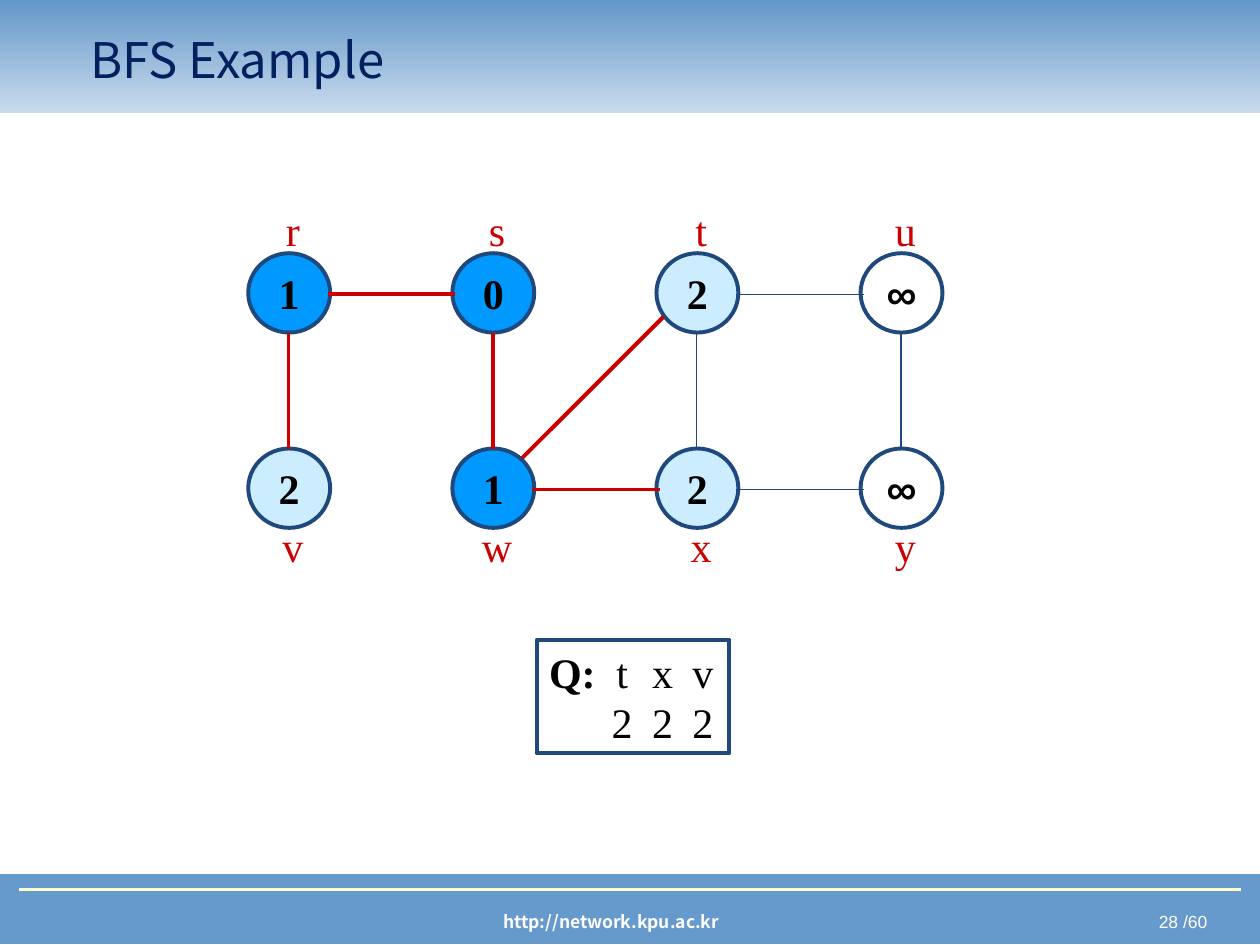
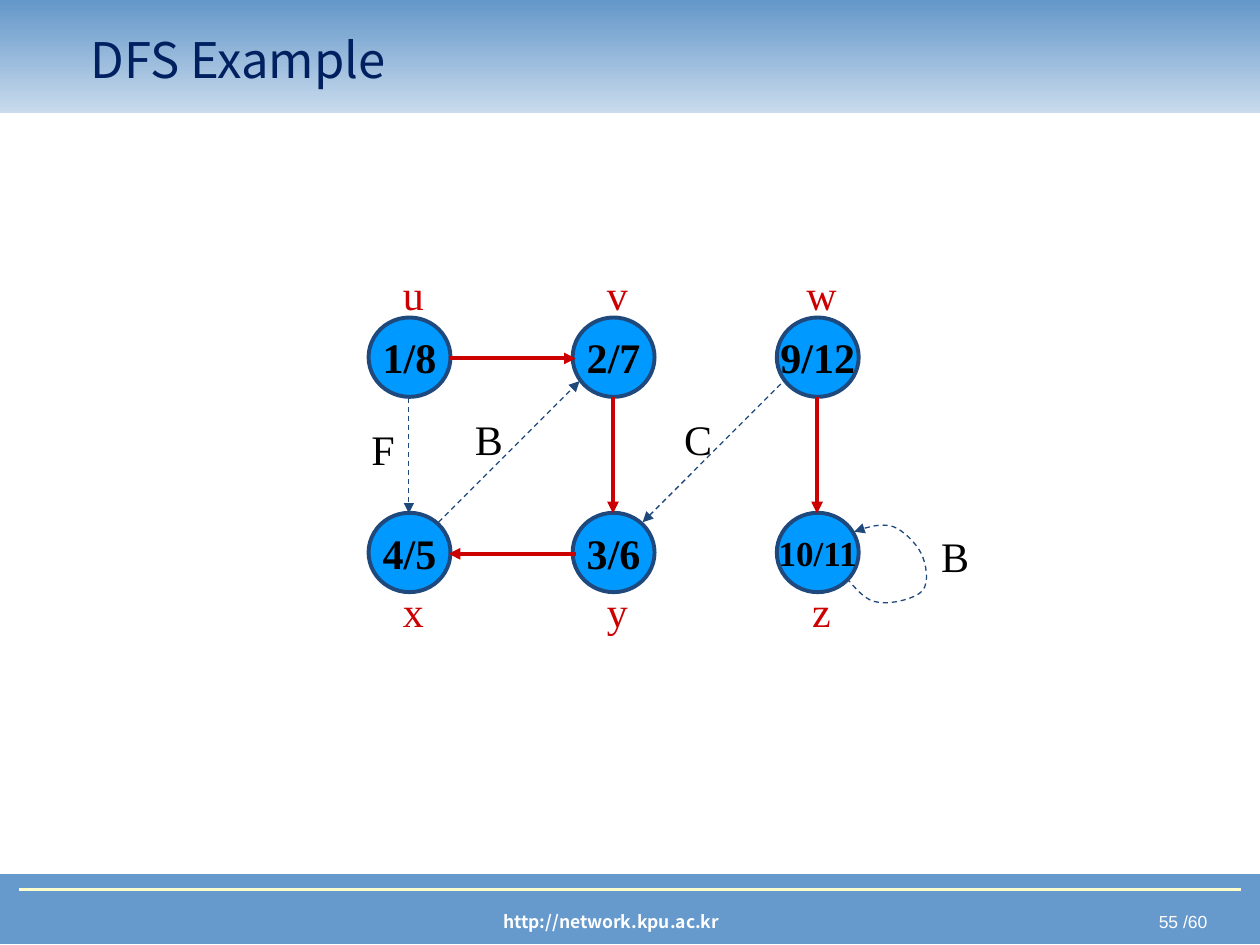
from dataclasses import dataclass

from lxml.etree import SubElement
from pptx import Presentation
from pptx.dml.color import RGBColor
from pptx.enum.dml import MSO_LINE
from pptx.enum.shapes import MSO_CONNECTOR as Connector, MSO_SHAPE as Shape
from pptx.enum.text import MSO_ANCHOR as Anchor, MSO_AUTO_SIZE as AutoSize, PP_ALIGN as Align
from pptx.oxml.ns import qn
from pptx.util import Inches, Pt


@dataclass(frozen=True)
class Theme:
    band: str = "6699CC"
    band_top: str = "6497C9"
    band_fade: str = "C9DBED"
    rule: str = "FFFFCC"
    heading: str = "002060"
    ink: str = "000000"
    paper: str = "FFFFFF"
    outline: str = "1F497D"
    accent: str = "CC0000"
    finished: str = "0099FF"
    queued: str = "CCECFF"
    heading_font: str = "Noto Sans CJK KR"
    number_font: str = "Arial"
    graph_font: str = "Times New Roman"
    heading_size: int = 28
    graph_size: int = 24
    tight_size: int = 20
    footer_size: int = 10
    thick: float = 2.25
    medium: float = 1.5
    thin: float = 0.75


THEME = Theme()

# The slide is a grid of 100 columns by 75 rows of equal cells.
COLUMNS, ROWS = 100, 75
CELL = Inches(0.1)

# Spacing of graph nodes, and their size, in cells.
NODE_STEP = (16.2, 15.5)
NODE_SIZE = (6.5, 6.3)
LABEL_SIZE = (4.4, 5)
LABEL_SHIFT = 0.3
LABEL_RISE = (-5, 4.6)  # above the upper row, below the lower row

# Direction of an edge: offset of its start from the node centre, and its span.
RIGHT = ((3.1, 0.1), (10.1, 0))
DOWN = ((-0.05, 3.2), (0, 9.2))
DIAGONAL = ((2.3, -2.4), (11.2, -11.2))


def cells(*values):
    return [round(value * CELL) for value in values]


def color(value):
    return RGBColor.from_string(value)


def bezier(start, first, second, end, steps=8):
    """Points along a cubic curve, without its start."""
    for step in range(1, steps + 1):
        t = step / steps
        yield tuple((1 - t) ** 3 * a + 3 * t * (1 - t) ** 2 * b + 3 * t * t * (1 - t) * c + t ** 3 * d
                    for a, b, c, d in zip(start, first, second, end))


class Deck:
    def __init__(self, theme, address, page_total):
        self.theme = theme
        self.address = address
        self.page_total = page_total
        self.prs = Presentation()
        self.prs.slide_width, self.prs.slide_height = cells(COLUMNS, ROWS)
        self.layout = self.prs.slide_layouts.get_by_name("Title Only")
        self.slide = None
        self.origin = (0, 0)

    def new_slide(self, heading, page, origin):
        """Start a slide whose graph has its first node centred at origin."""
        theme = self.theme
        self.slide = self.prs.slides.add_slide(self.layout)
        self.origin = origin
        if len(self.prs.slides) == 1:
            self.share_frame()
        title = self.slide.shapes.title
        title.left, title.top, title.width, title.height = cells(6.2, 1.6, 84.4, 6.2)
        frame = title.text_frame
        frame.auto_size = AutoSize.NONE
        frame.vertical_anchor = Anchor.MIDDLE
        frame.paragraphs[0].alignment = Align.LEFT
        self.run(frame.paragraphs[0], heading, theme.heading_font, theme.heading_size, theme.heading)
        self.text(f"{page} /{self.page_total}", (74.2, 71.8, 22.6, 2.7), theme.number_font,
                  theme.footer_size, theme.paper, align=Align.RIGHT)

    def share_frame(self):
        """Draw bands, rule and address, then move them to the layout."""
        theme = self.theme
        footer = self.shape(Shape.RECTANGLE, (0, 69.4, COLUMNS, 5.5), theme.band)
        self.stroke(footer.line, theme.band, theme.thin)
        header = self.shape(Shape.RECTANGLE, (0, 0, COLUMNS, 9))
        header.line.fill.background()
        header.fill.gradient()
        header.fill.gradient_angle = 90
        for stop, tint in zip(header.fill.gradient_stops, (theme.band_fade, theme.band_top)):
            stop.color.rgb = color(tint)
        rule = self.line((1.5, 70.6), (98.5, 70.6), theme.rule, theme.medium)
        address = self.text(self.address, (22.7, 71.8, 51.6, 2.7), theme.heading_font,
                            theme.footer_size, theme.paper, bold=True)
        for part in (footer, header, rule, address):
            self.layout.shapes.element.append(part.element)

    def run(self, paragraph, words, font, size, tint, bold=False):
        run = paragraph.add_run()
        run.text = words
        run.font.name, run.font.size, run.font.bold = font, Pt(size), bold
        run.font.color.rgb = color(tint)

    def text(self, words, area, font, size, tint, bold=False, align=Align.CENTER):
        box = self.slide.shapes.add_textbox(*cells(*area))
        box.text_frame.word_wrap = True
        paragraph = box.text_frame.paragraphs[0]
        paragraph.alignment = align
        self.run(paragraph, words, font, size, tint, bold)
        return box

    def shape(self, preset, area, fill=None):
        shape = self.slide.shapes.add_shape(preset, *cells(*area))
        shape.shadow.inherit = False
        if fill:
            shape.fill.solid()
            shape.fill.fore_color.rgb = color(fill)
        else:
            shape.fill.background()
        self.stroke(shape.line, self.theme.outline, self.theme.thick)
        return shape

    def stroke(self, line, tint, width, dashed=False):
        line.color.rgb = color(tint)
        line.width = Pt(width)
        if dashed:
            line.dash_style = MSO_LINE.DASH

    def arrowhead(self, shape, end):
        """Put a triangle at the "head" (start) or "tail" (finish) of a line."""
        outline = shape.element.spPr.find(qn("a:ln"))
        SubElement(outline, qn(f"a:{end}End"), type="triangle")

    def line(self, start, finish, tint, width, dashed=False, arrow=None):
        line = self.slide.shapes.add_connector(Connector.STRAIGHT, *cells(*start, *finish))
        self.stroke(line.line, tint, width, dashed)
        if arrow:
            self.arrowhead(line, arrow)
        SubElement(line.element.spPr, qn("a:effectLst"))
        return line

    def center(self, col, row):
        return tuple(first + step * index
                     for first, step, index in zip(self.origin, NODE_STEP, (col, row)))

    def edge(self, col, row, direction, tree=False, dashed=False, arrow=None):
        """Join a node to its neighbour; tree edges are thick and red."""
        theme = self.theme
        offset, span = direction
        start = [a + b for a, b in zip(self.center(col, row), offset)]
        finish = [a + b for a, b in zip(start, span)]
        tint, width = (theme.accent, theme.thick) if tree else (theme.outline, theme.thin)
        self.line(start, finish, tint, width, dashed, arrow)

    def node(self, col, row, label, value, fill, size=None, font=None):
        theme = self.theme
        x, y = self.center(col, row)
        width, height = NODE_SIZE
        circle = self.shape(Shape.OVAL, (x - width / 2, y - height / 2, width, height), fill)
        frame = circle.text_frame
        frame.word_wrap = False
        frame.vertical_anchor = Anchor.MIDDLE
        frame.paragraphs[0].alignment = Align.CENTER
        self.run(frame.paragraphs[0], value, font or theme.graph_font,
                 size or theme.graph_size, theme.ink, bold=True)
        self.graph_label(label, x + LABEL_SHIFT, y + LABEL_RISE[row], theme.accent)

    def graph_label(self, words, x, y, tint):
        width, height = LABEL_SIZE
        self.text(words, (x - width / 2, y - height / 2, width, height),
                  self.theme.graph_font, self.theme.graph_size, tint)

    def queue(self, area, vertices, distances):
        """Boxed queue: vertices over their distances, set on centred tabs."""
        theme = self.theme
        frame = self.shape(Shape.RECTANGLE, area).text_frame
        frame.word_wrap = True
        frame.vertical_anchor = Anchor.TOP
        lines = (frame.paragraphs[0], frame.add_paragraph())
        for paragraph, caption, entries in zip(lines, ("Q:", ""), (vertices, distances)):
            paragraph.alignment = Align.LEFT
            tabs = SubElement(paragraph._p.get_or_add_pPr(), qn("a:tabLst"))
            for index in range(len(entries)):
                position, = cells(5.8 + 3.2 * index)
                SubElement(tabs, qn("a:tab"), pos=str(position), algn="ctr")
            if caption:
                self.run(paragraph, caption, theme.graph_font, theme.graph_size, theme.ink, True)
            self.run(paragraph, "".join(f"\t{entry}" for entry in entries),
                     theme.graph_font, theme.graph_size, theme.ink)

    def loop(self, start, curves):
        """Dashed arrow along joined cubic curves."""
        points = [start]
        for curve in curves:
            points.extend(bezier(points[-1], *curve))
        builder = self.slide.shapes.build_freeform(*cells(*points[0]), scale=1.0)
        builder.add_line_segments([tuple(cells(*point)) for point in points[1:]], close=False)
        loop = builder.convert_to_shape()
        loop.shadow.inherit = False
        loop.fill.background()
        self.stroke(loop.line, self.theme.outline, self.theme.thin, dashed=True)
        self.arrowhead(loop, "tail")


def bfs_slide(deck):
    theme = deck.theme
    deck.new_slide("BFS Example", 28, origin=(22.95, 23.25))
    vertices = (
        (("r", "1", theme.finished), ("s", "0", theme.finished),
         ("t", "2", theme.queued), ("u", "∞", None)),
        (("v", "2", theme.queued), ("w", "1", theme.finished),
         ("x", "2", theme.queued), ("y", "∞", None)),
    )
    for row, line in enumerate(vertices):
        for col, (label, distance, fill) in enumerate(line):
            font = theme.number_font if distance == "∞" else theme.graph_font
            deck.node(col, row, label, distance, fill, font=font)
    for col, row, tree in ((0, 0, True), (2, 0, False), (1, 1, True), (2, 1, False)):
        deck.edge(col, row, RIGHT, tree)
    for col in range(4):
        deck.edge(col, 0, DOWN, tree=col < 2)
    deck.edge(1, 1, DIAGONAL, tree=True)
    deck.queue((42.6, 50.8, 15.3, 9), "txv", "222")


def dfs_slide(deck):
    theme = deck.theme
    deck.new_slide("DFS Example", 55, origin=(32.5, 28.35))
    vertices = (
        (("u", "1/8"), ("v", "2/7"), ("w", "9/12")),
        (("x", "4/5"), ("y", "3/6"), ("z", "10/11")),
    )
    for row, line in enumerate(vertices):
        for col, (label, times) in enumerate(line):
            size = theme.tight_size if len(times) > 4 else theme.graph_size
            deck.node(col, row, label, times, theme.finished, size)
    deck.edge(0, 0, RIGHT, tree=True, arrow="tail")
    deck.edge(0, 1, RIGHT, tree=True, arrow="head")
    for col in range(3):
        deck.edge(col, 0, DOWN, tree=col > 0, dashed=col == 0, arrow="tail")
    for col, arrow in enumerate(("tail", "head")):
        deck.edge(col, 1, DIAGONAL, dashed=True, arrow=arrow)
    deck.loop((67.2, 45.9), (
        ((68, 46.8), (68.7, 47.7), (69.7, 47.8)),
        ((70.7, 48), (72.7, 47.5), (73.2, 46.9)),
        ((73.8, 46.2), (73.5, 44.7), (73.1, 43.9)),
        ((72.7, 43.1), (71.7, 42.1), (70.9, 41.8)),
        ((70, 41.5), (68.9, 41.8), (67.8, 42.2)),
    ))
    for kind, x, y in (("F", 30.4, 35.6), ("B", 38.8, 34.8), ("C", 55.4, 34.8), ("B", 75.8, 44.1)):
        deck.graph_label(kind, x, y, theme.ink)


def main():
    deck = Deck(THEME, "http://network.kpu.ac.kr", page_total=60)
    bfs_slide(deck)
    dfs_slide(deck)
    deck.prs.save("out.pptx")


if __name__ == "__main__":
    main()
